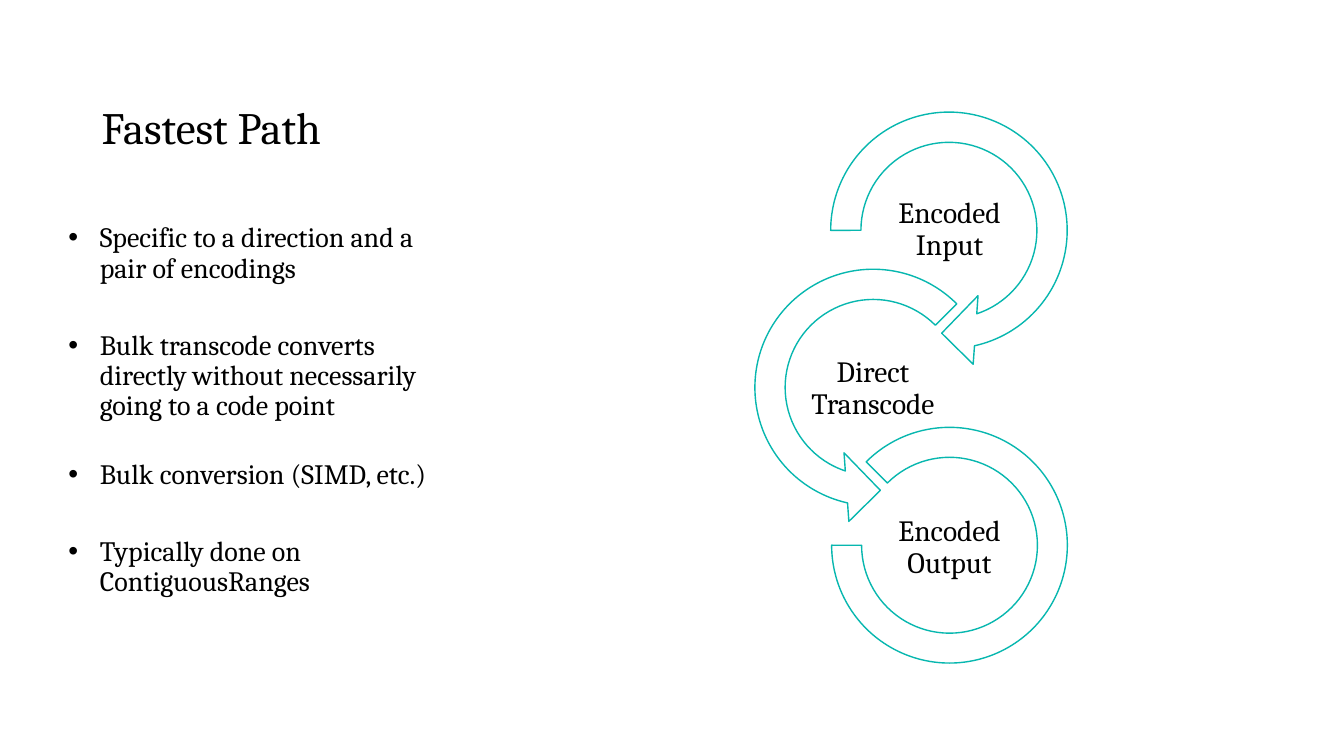
from dataclasses import dataclass

import pptx
import pptx.dml.color
import pptx.enum.shapes
import pptx.enum.text
import pptx.util
from pptx.util import Cm

RGBColor = pptx.dml.color.RGBColor
Shape = pptx.enum.shapes.MSO_SHAPE
Anchor = pptx.enum.text.MSO_ANCHOR
Align = pptx.enum.text.PP_ALIGN
Fit = pptx.enum.text.MSO_AUTO_SIZE

BLACK = RGBColor(0x00, 0x00, 0x00)
WHITE = RGBColor(0xFF, 0xFF, 0xFF)
TEAL = RGBColor(0x07, 0xB7, 0xAF)
FACE = "Cambria"
HANG = Cm(0.79)
LABEL_TOP, LABEL_STEP = 4.83, 4.01
LABEL_WIDTH, LABEL_HEIGHT = 3.86, 1.93


@dataclass
class Stage:
    text: str
    kind: Shape
    left: float
    top: float
    size: float
    shape: tuple[float, ...]
    label: float


@dataclass
class Point:
    text: str
    gap: float


STAGES = [
    Stage("Encoded Input", Shape.CIRCULAR_ARROW, 20.45, 2.34, 6.93,
          (0.11, 11.42, 45, 108, 0.125), 22),
    Stage("Direct Transcode", Shape.LEFT_CIRCULAR_ARROW, 18.54, 6.3, 6.93,
          (0.11, 11.42, 63, 189, 0.125), 20.07),
    Stage("Encoded Output", Shape.BLOCK_ARC, 20.96, 10.77, 5.94,
          (135, 108, 0.127), 22),
]

POINTS = [
    Point("Specific to a direction and a pair of encodings", 0),
    Point("Bulk transcode converts directly without necessarily "
          "going to a code point", 33.5),
    Point("Bulk conversion (SIMD, etc.)", 27.5),
    Point("Typically done on ContiguousRanges", 33.5),
]


def style(para, size: float, align: Align) -> None:
    para.alignment = align
    para.line_spacing = 0.9
    para.font.name = FACE
    para.font.size = pptx.util.Pt(size)
    para.font.color.rgb = BLACK


def place(item, left: float, top: float, width: float, height: float) -> None:
    item.left, item.top = Cm(left), Cm(top)
    item.width, item.height = Cm(width), Cm(height)


def set_frame(frame, anchor: Anchor) -> None:
    frame.word_wrap = True
    frame.auto_size = Fit.NONE
    frame.vertical_anchor = anchor


def add_title(slide) -> None:
    title = slide.shapes.title
    place(title, 2.31, 2.11, 9.09, 1.9)
    set_frame(title.text_frame, Anchor.BOTTOM)
    title.text_frame.text = "Fastest Path"
    style(title.text_frame.paragraphs[0], 32, Align.LEFT)


def add_points(slide) -> None:
    body = slide.placeholders[1]
    place(body, 1.47, 5.51, 9.96, 12.7)
    frame = body.text_frame
    set_frame(frame, Anchor.TOP)
    frame.text = "\n".join(point.text for point in POINTS)
    for para, point in zip(frame.paragraphs, POINTS):
        props = para._p.get_or_add_pPr()
        props.set("marL", str(HANG))
        props.set("indent", str(-HANG))
        para.space_before = pptx.util.Pt(point.gap)
        style(para, 20, Align.LEFT)


def add_stage(slide, stage: Stage, row: int) -> None:
    ring = slide.shapes.add_shape(stage.kind, Cm(stage.left), Cm(stage.top),
                                  Cm(stage.size), Cm(stage.size))
    for index, value in enumerate(stage.shape):
        ring.adjustments[index] = value
    ring.shadow.inherit = False
    ring.fill.solid()
    ring.fill.fore_color.rgb = WHITE
    ring.line.color.rgb = TEAL
    ring.line.width = pptx.util.Pt(1)

    label = slide.shapes.add_textbox(
        Cm(stage.label), Cm(LABEL_TOP + row * LABEL_STEP),
        Cm(LABEL_WIDTH), Cm(LABEL_HEIGHT))
    frame = label.text_frame
    set_frame(frame, Anchor.MIDDLE)
    frame.margin_left = frame.margin_right = Cm(0.03)
    frame.margin_top = frame.margin_bottom = Cm(0.03)
    frame.text = stage.text
    style(frame.paragraphs[0], 21, Align.CENTER)


def main() -> None:
    deck = pptx.Presentation()
    deck.slide_width, deck.slide_height = Cm(33.87), Cm(19.05)
    slide = deck.slides.add_slide(deck.slide_layouts[1])
    add_title(slide)
    add_points(slide)
    for row, stage in enumerate(STAGES):
        add_stage(slide, stage, row)
    deck.save("out.pptx")


if __name__ == "__main__":
    main()
